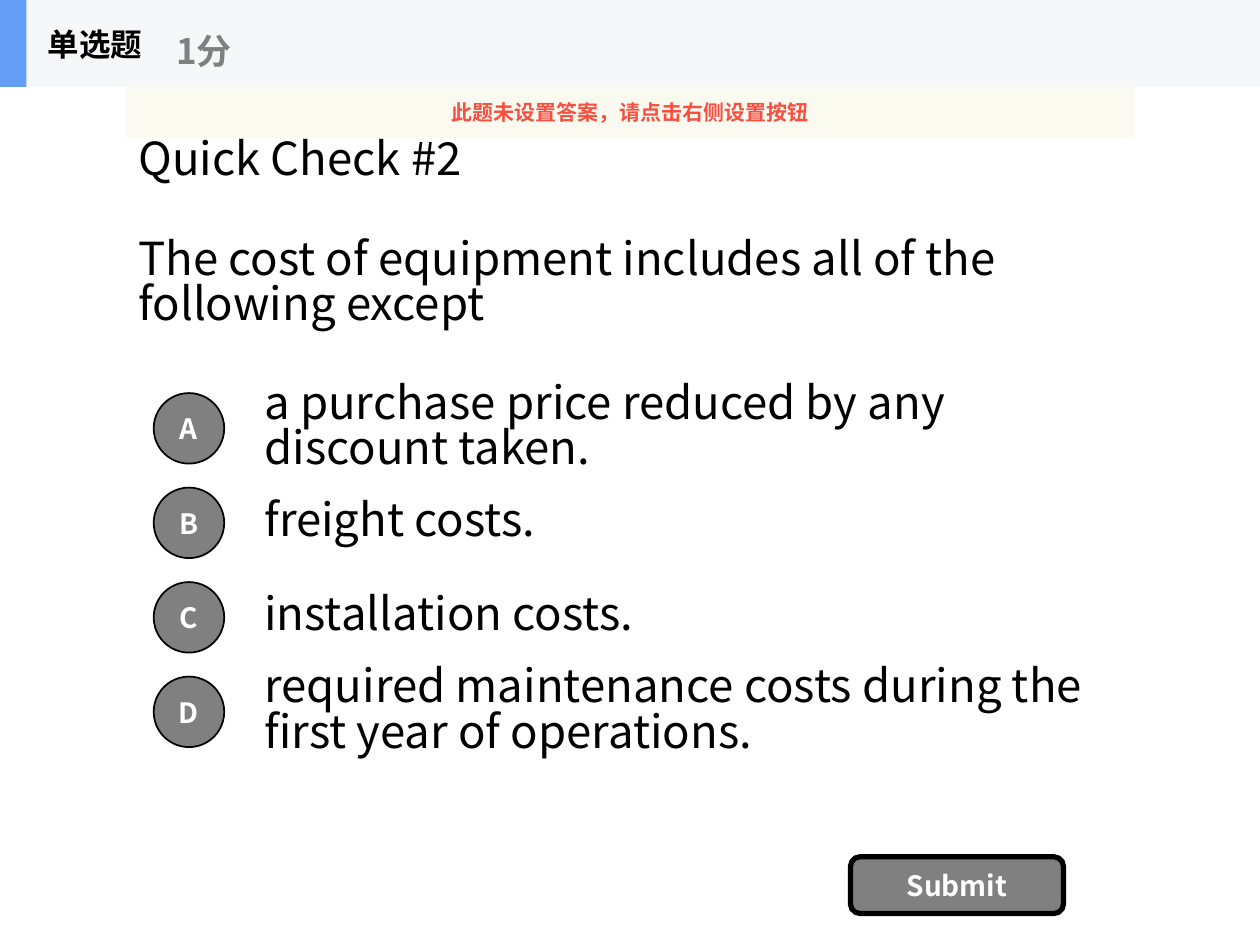
import dataclasses

import lxml.etree
import pptx
import pptx.dml.color
import pptx.enum.shapes
import pptx.enum.text
import pptx.oxml.ns
import pptx.util

Inches = pptx.util.Inches
Pt = pptx.util.Pt
Shapes = pptx.enum.shapes.MSO_SHAPE
Align = pptx.enum.text.PP_ALIGN


@dataclasses.dataclass(frozen=True)
class Theme:
    """Font, colours and type sizes of the slide."""
    font: str = "Noto Sans CJK SC"
    black: str = "000000"
    white: str = "FFFFFF"
    gray: str = "808080"
    header: str = "F6F7F8"
    accent: str = "639EF4"
    notice: str = "FBFAEF"
    warning: str = "F84F41"
    body_size: int = 26
    score_size: int = 20
    heading_size: int = 18
    label_size: int = 16
    notice_size: int = 12
    body_spacing: float = 0.83


THEME = Theme()


def rgb(color):
    """Turn a hexadecimal string into a colour."""
    return pptx.dml.color.RGBColor.from_string(color)


def write_text(shape, text, *, size, color=THEME.black, bold=False,
               align=Align.LEFT, line_spacing=None, gap=0):
    """Fill a shape with one formatted paragraph per line of text."""
    frame = shape.text_frame
    frame.word_wrap = True
    frame.vertical_anchor = pptx.enum.text.MSO_ANCHOR.MIDDLE
    frame.text = text
    for index, paragraph in enumerate(frame.paragraphs):
        paragraph.alignment = align
        if line_spacing:
            paragraph.line_spacing = line_spacing
        if index:
            paragraph.space_before = Pt(gap)
        for run in paragraph.runs:
            run.font.name = THEME.font
            run.font.size = Pt(size)
            run.font.bold = bold
            run.font.color.rgb = rgb(color)
            east_asian = lxml.etree.SubElement(
                run.font._element, pptx.oxml.ns.qn("a:ea"))
            east_asian.set("typeface", THEME.font)


def add_text(shapes, text, left, top, width, height, **text_format):
    """Add a text box."""
    box = shapes.add_textbox(
        Inches(left), Inches(top), Inches(width), Inches(height))
    write_text(box, text, **text_format)


def add_panel(shapes, kind, left, top, width, height, fill, line_width=0):
    """Add a filled preset shape, outlined in black when a width is given."""
    shape = shapes.add_shape(
        kind, Inches(left), Inches(top), Inches(width), Inches(height))
    shape.shadow.inherit = False
    shape.fill.solid()
    shape.fill.fore_color.rgb = rgb(fill)
    if line_width:
        shape.line.color.rgb = rgb(THEME.black)
        shape.line.width = Pt(line_width)
    else:
        shape.line.fill.background()
    return shape


def add_button(shapes, text, kind, left, top, width, height, line_width):
    """Add a gray button with a white label."""
    button = add_panel(
        shapes, kind, left, top, width, height, THEME.gray, line_width)
    write_text(button, text, size=THEME.label_size, color=THEME.white,
               bold=True, align=Align.CENTER)


def add_options(shapes, options):
    """Add the answers in evenly spaced rows, then their lettered circles."""
    first_top, pitch, height, diameter = 3.05, 0.75, 0.7, 0.56
    tops = [first_top + pitch * row for row in range(len(options))]
    for top, option in zip(tops, options):
        add_text(shapes, option, 2, top, 7, height, size=THEME.body_size,
                 line_spacing=THEME.body_spacing)
    for top, letter in zip(tops, "ABCD"):
        add_button(shapes, letter, Shapes.OVAL, 1.22,
                   top + (height - diameter) / 2, diameter, diameter, 1)


def add_header(shapes):
    """Add the grouped header bar with question type and score."""
    group = shapes.add_group_shape().shapes
    add_panel(group, Shapes.RECTANGLE, 0, 0, 10, 0.69, THEME.header)
    add_panel(group, Shapes.RECTANGLE, 0, 0, 0.21, 0.69, THEME.accent)
    add_text(group, "单选题", 0.28, 0, 2.08, 0.69,
             size=THEME.heading_size, bold=True)
    add_text(group, "1分", 1.3, 0.12, 2.5, 0.56,
             size=THEME.score_size, color=THEME.gray, bold=True)


def add_notice(shapes, text):
    """Add the slightly transparent warning strip."""
    strip = add_panel(shapes, Shapes.RECTANGLE, 1, 0.69, 8, 0.4, THEME.notice)
    color = strip._element.spPr.find(".//" + pptx.oxml.ns.qn("a:srgbClr"))
    alpha = lxml.etree.SubElement(color, pptx.oxml.ns.qn("a:alpha"))
    alpha.set("val", "90000")
    write_text(strip, text, size=THEME.notice_size, color=THEME.warning,
               bold=True, align=Align.CENTER)


def main():
    """Build and save the quiz slide."""
    presentation = pptx.Presentation()
    presentation.slide_width = Inches(10)
    presentation.slide_height = Inches(7.5)
    shapes = presentation.slides.add_slide(
        presentation.slide_layouts[6]).shapes
    add_text(shapes, "Quick Check #2\n"
             "The cost of equipment includes all of the following except",
             1, 0.69, 8, 2.34, size=THEME.body_size,
             line_spacing=THEME.body_spacing, gap=31)
    add_options(shapes, [
        "a purchase price reduced by any discount taken.",
        "freight costs.",
        "installation costs.",
        "required maintenance costs during the first year of operations.",
    ])
    add_button(shapes, "Submit", Shapes.ROUNDED_RECTANGLE,
               6.75, 6.8, 1.69, 0.45, 3)
    add_header(shapes)
    add_notice(shapes, "此题未设置答案，请点击右侧设置按钮")
    presentation.save("out.pptx")


if __name__ == "__main__":
    main()
